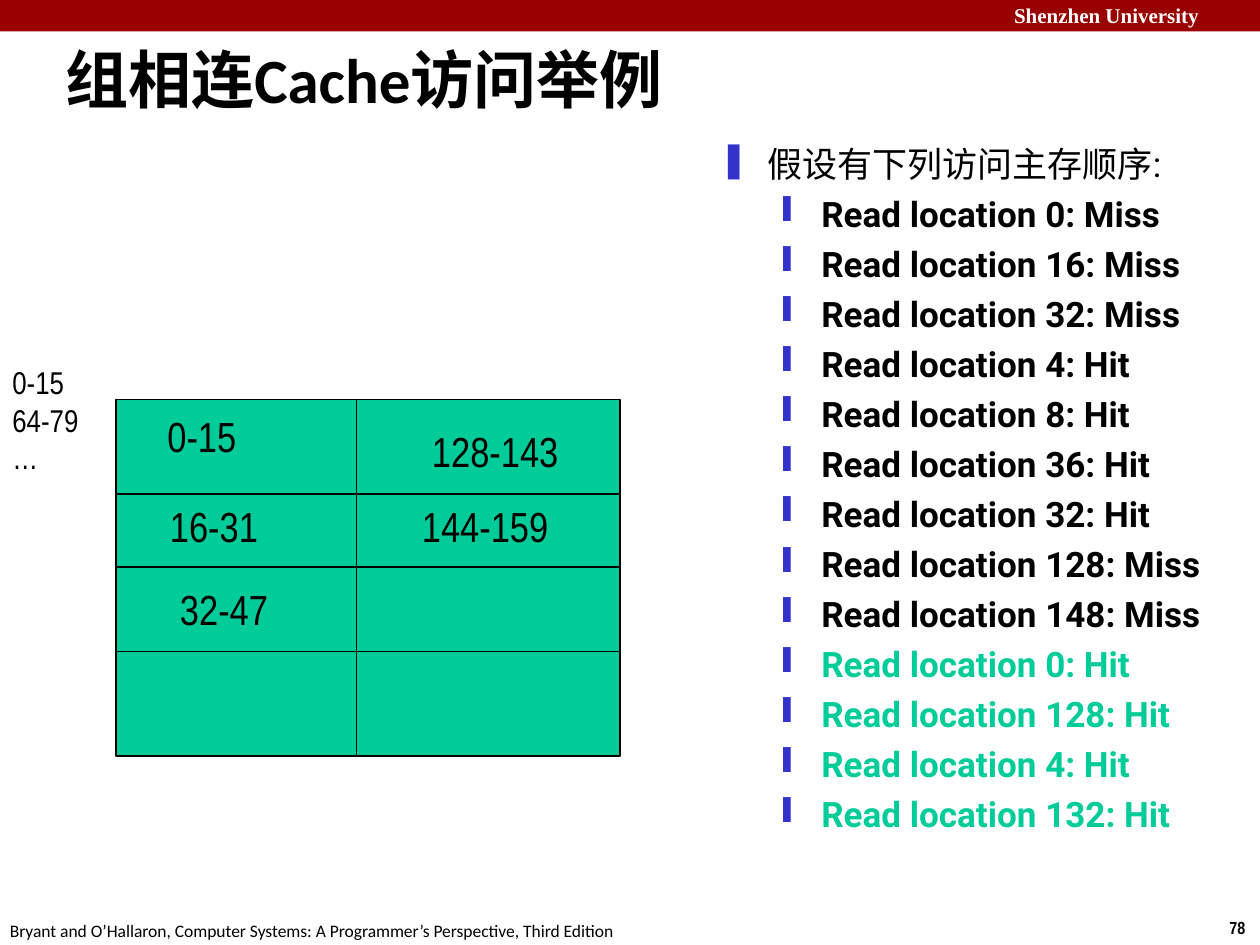
from lxml import etree
from pptx import Presentation
from pptx import util as u
from pptx.dml.color import RGBColor
from pptx.enum import shapes, text
from pptx.oxml.ns import qn

COLORS = {"banner": "990000", "white": "FFFFFF", "black": "000000",
          "bullet": "3333CC", "green": "00CC99"}

TITLE = "组相连Cache访问举例"
UNIVERSITY = "Shenzhen University"
PAGE = "78"
CREDIT = ("Bryant and O’Hallaron, Computer Systems: "
          "A Programmer’s Perspective, Third Edition")

INTRO = "假设有下列访问主存顺序:"
READS = [(0, "Miss"), (16, "Miss"), (32, "Miss"), (4, "Hit"), (8, "Hit"),
         (36, "Hit"), (32, "Hit"), (128, "Miss"), (148, "Miss"),
         (0, "Hit"), (128, "Hit"), (4, "Hit"), (132, "Hit")]
FIRST_GREEN_READ = 9

MEMORY_BLOCKS = ["0-15", "64-79", "…"]
CACHE_LINES = [("0-15", 1.23, 3.21, 0.81), ("16-31", 1.25, 3.92, 0.98),
               ("32-47", 1.33, 4.58, 0.98), ("128-143", 3.33, 3.33, 1.31),
               ("144-159", 3.25, 3.92, 1.31)]

CACHE_LEFT, CACHE_TOP, CACHE_RIGHT, CACHE_BOTTOM = 0.92, 3.17, 4.92, 6
SET_BORDERS = [3.92, 4.5, 5.17]
WAY_BORDER = 2.83


def color(name):
    return RGBColor.from_string(COLORS[name])


def style(paragraph, size, face, ink="black", bold=False):
    font = paragraph.font
    font.size, font.name, font.bold = u.Pt(size), face, bold
    font.color.rgb = color(ink)


def add_box(slide, left, top, width, height, wrap=False):
    box = slide.shapes.add_textbox(*map(u.Inches, (left, top, width, height)))
    box.text_frame.word_wrap = wrap
    return box.text_frame


def add_label(slide, place, lines, size, face, ink="black", bold=False, wrap=False):
    frame = add_box(slide, *place, wrap=wrap)
    frame.text = "\n".join(lines)
    for paragraph in frame.paragraphs:
        style(paragraph, size, face, ink, bold)
    return frame


def add_block(slide, left, top, width, height, fill):
    block = slide.shapes.add_shape(
        shapes.MSO_SHAPE.RECTANGLE, *map(u.Inches, (left, top, width, height)))
    block.shadow.inherit = False
    block.fill.solid()
    block.fill.fore_color.rgb = color(fill)
    return block


def add_border(slide, x1, y1, x2, y2):
    border = slide.shapes.add_connector(
        shapes.MSO_CONNECTOR.STRAIGHT, *map(u.Inches, (x1, y1, x2, y2)))
    border.line.color.rgb = color("black")
    border.line.width = u.Pt(1)
    etree.SubElement(border._element.spPr, qn("a:effectLst"))


def set_indent(paragraph, margin, indent):
    props = paragraph._p.get_or_add_pPr()
    props.set("marL", str(u.Inches(margin)))
    props.set("indent", str(u.Inches(indent)))
    return props


def set_bullet(paragraph, margin, indent, mark):
    props = set_indent(paragraph, margin, indent)
    tint = etree.SubElement(props, qn("a:buClr"))
    etree.SubElement(tint, qn("a:srgbClr")).set("val", COLORS["bullet"])
    etree.SubElement(props, qn("a:buChar")).set("char", mark)


def add_reads(slide):
    frame = add_box(slide, 5.61, 1.08, 4.39, 6.17, wrap=True)
    intro = frame.paragraphs[0]
    intro.text = INTRO
    set_bullet(intro, 0.38, -0.38, "❚")
    style(intro, 20, "Roboto")
    for number, (location, outcome) in enumerate(READS):
        read = frame.add_paragraph()
        read.text = f"Read location {location}: {outcome}"
        read.level = 1
        read.space_before = u.Pt(4.6)
        set_bullet(read, 0.81, -0.31, "❙")
        ink = "green" if number >= FIRST_GREEN_READ else "black"
        style(read, 20, "Roboto", ink, bold=True)


def add_cache(slide):
    cache = add_block(slide, CACHE_LEFT, CACHE_TOP, CACHE_RIGHT - CACHE_LEFT,
                      CACHE_BOTTOM - CACHE_TOP, "green")
    cache.line.color.rgb = color("black")
    cache.line.width = u.Pt(1)
    for y in SET_BORDERS:
        add_border(slide, CACHE_LEFT, y, CACHE_RIGHT, y)
    add_border(slide, WAY_BORDER, CACHE_TOP, WAY_BORDER, CACHE_BOTTOM)
    add_label(slide, (0, 2.83, 0.78, 1), MEMORY_BLOCKS, 18, "Arial Narrow")
    for addresses, left, top, width in CACHE_LINES:
        add_label(slide, (left, top, width, 0.5), [addresses], 24, "Arial Narrow")


def main():
    deck = Presentation()
    deck.slide_width, deck.slide_height = u.Inches(10), u.Inches(7.5)
    slide = deck.slides.add_slide(deck.slide_layouts[6])

    banner = add_block(slide, 0, 0, 10, 0.25, "banner")
    banner.line.fill.background()
    add_label(slide, (7.95, -0.03, 2.12, 0.3), [UNIVERSITY], 12,
              "Times New Roman", "white", bold=True, wrap=True)
    add_label(slide, (9.66, 7.23, 0.34, 0.27), [PAGE], 10, "Arial Narrow", bold=True)
    add_label(slide, (-0.02, 7.25, 5.09, 0.27), [CREDIT], 10, "Calibri")

    title = add_label(slide, (0.42, 0, 8.5, 1.25), [TITLE], 36, "Calibri",
                      bold=True, wrap=True)
    title.vertical_anchor = text.MSO_ANCHOR.MIDDLE
    set_indent(title.paragraphs[0], 0.13, -0.13)

    add_reads(slide)
    add_cache(slide)
    deck.save("out.pptx")


if __name__ == "__main__":
    main()
